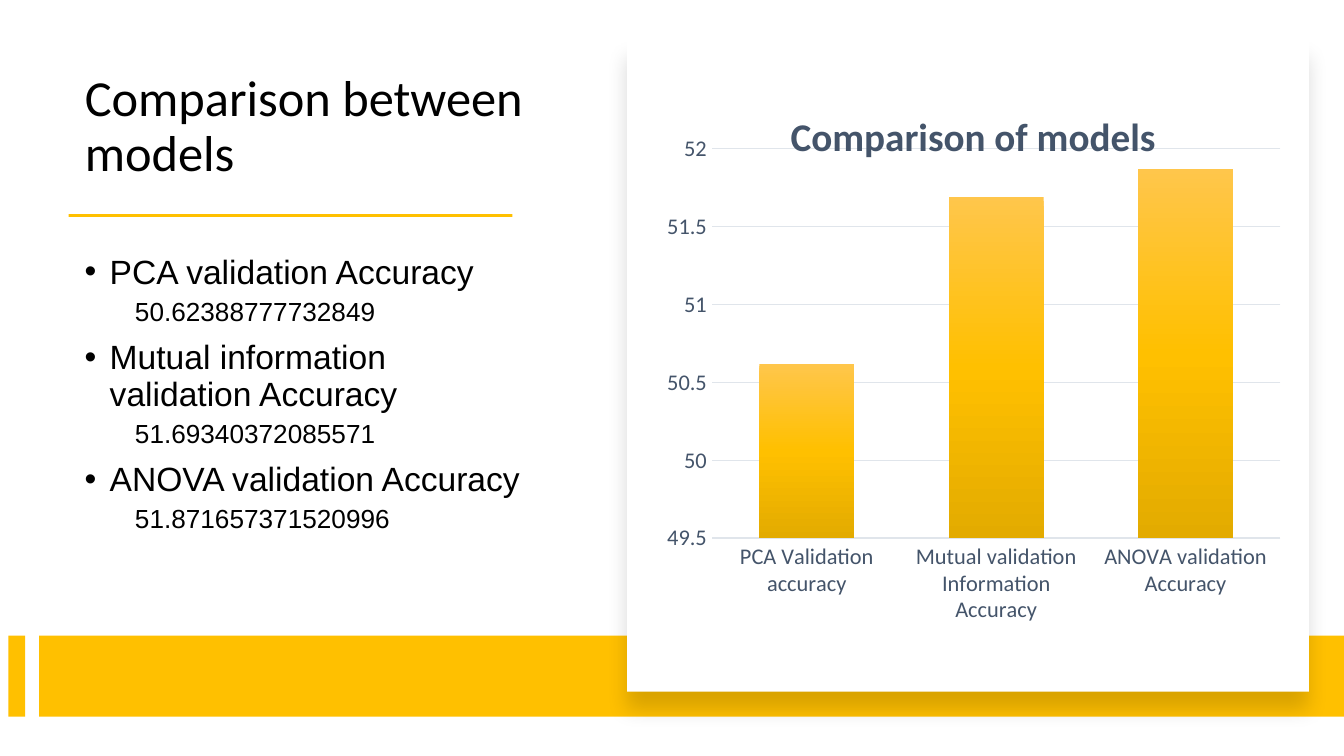
"""Build the model comparison slide with its accuracy list and column chart."""
from dataclasses import dataclass

from lxml.etree import SubElement
from pptx import Presentation
from pptx.chart.data import CategoryChartData
from pptx.dml.color import RGBColor
from pptx.enum.chart import XL_CHART_TYPE, XL_TICK_MARK
from pptx.enum.shapes import MSO_SHAPE
from pptx.enum.text import MSO_ANCHOR, MSO_AUTO_SIZE, PP_ALIGN
from pptx.oxml import parse_xml
from pptx.oxml.ns import nsdecls, qn
from pptx.util import Pt


@dataclass(frozen=True)
class Theme:
    black: str = "000000"
    white: str = "FFFFFF"
    gold: str = "FFC000"
    gold_light: str = "FFC64B"
    gold_dark: str = "E3AB00"
    slate: str = "44546A"
    grid: str = "E0E5EB"
    head_font: str = "Calibri"
    body_font: str = "Arial"
    title: int = 27
    item: int = 18
    value: int = 14
    chart_title: int = 21
    axis: int = 12


T = Theme()
PX = 9525


def write(p, text, size, font=T.body_font, color=T.black, bold=False,
          before=0, line=0.9, align=PP_ALIGN.LEFT):
    p.alignment, p.line_spacing, p.space_before = align, line, Pt(before)
    r = p.add_run()
    r.text = text
    r.font.size, r.font.name, r.font.bold = Pt(size), font, bold
    r.font.color.rgb = RGBColor.from_string(color)


def place(parent, index, **values):
    old = parent.find(qn("c:layout"))
    if old is not None:
        parent.remove(old)
    layout = parse_xml(f"<c:layout {nsdecls('c')}><c:manualLayout/></c:layout>")
    for tag, val in values.items():
        SubElement(layout[0], qn(f"c:{tag}")).set("val", str(val))
    parent.insert(index, layout)


prs = Presentation()
prs.slide_width, prs.slide_height = 960 * PX, 540 * PX
s = prs.slides.add_slide(prs.slide_layouts[5])

title = s.shapes.title
title.left, title.top, title.width, title.height = [v * PX for v in (51, 41, 337, 94)]
tf = title.text_frame
tf.word_wrap, tf.auto_size = True, MSO_AUTO_SIZE.NONE
tf.vertical_anchor = MSO_ANCHOR.BOTTOM
write(tf.paragraphs[0], "Comparison between models", T.title, font=T.head_font)

for x, y, w, h, color in (
    (49, 153, 317, 2, T.gold),
    (6, 454, 12, 58, T.gold),
    (28, 454, 932, 58, T.gold),
    (448, 28, 487, 466, T.white),
):
    sp = s.shapes.add_shape(MSO_SHAPE.RECTANGLE, x * PX, y * PX, w * PX, h * PX)
    sp.shadow.inherit = False
    sp.fill.solid()
    sp.fill.fore_color.rgb = RGBColor.from_string(color)
    sp.line.fill.background()
card = sp
card._element.spPr.find(qn("a:effectLst")).append(parse_xml(
    f'<a:outerShdw {nsdecls("a")} blurRad="{Pt(11)}" dist="{Pt(10)}" dir="5400000" '
    f'algn="t" rotWithShape="0"><a:srgbClr val="{T.black}"><a:alpha val="15000"/>'
    '</a:srgbClr></a:outerShdw>'))

body = s.shapes.add_textbox(51 * PX, 160 * PX, 337 * PX, 244 * PX)
tf = body.text_frame
tf.word_wrap, tf.vertical_anchor = True, MSO_ANCHOR.MIDDLE
p = tf.paragraphs[0]
for name, value in (
    ("PCA validation Accuracy", "50.62388777732849"),
    ("Mutual information validation Accuracy", "51.69340372085571"),
    ("ANOVA validation Accuracy", "51.871657371520996"),
):
    if p.runs:
        p = tf.add_paragraph()
    write(p, name, T.item, before=7.5)
    pPr = p._p.get_or_add_pPr()
    pPr.set("marL", str(18 * PX))
    pPr.set("indent", str(-18 * PX))
    SubElement(pPr, qn("a:buFont")).set("typeface", T.body_font)
    SubElement(pPr, qn("a:buChar")).set("char", "•")
    p = tf.add_paragraph()
    p.level = 1
    write(p, value, T.value, before=3.8)
    pPr = p._p.get_or_add_pPr()
    pPr.set("marL", str(36 * PX))
    pPr.set("indent", "0")
    SubElement(pPr, qn("a:buNone"))

data = CategoryChartData()
data.categories = ["PCA Validation accuracy", "Mutual validation Information Accuracy",
                   "ANOVA validation Accuracy"]
data.add_series("Series 1", (50.62, 51.69, 51.87))
chart = s.shapes.add_chart(XL_CHART_TYPE.COLUMN_CLUSTERED, 471 * PX, 51 * PX,
                           444 * PX, 432 * PX, data).chart
chart.has_legend = False
chart.font.size, chart.font.name = Pt(T.axis), T.head_font
chart.font.color.rgb = RGBColor.from_string(T.slate)
chart.has_title = True
write(chart.chart_title.text_frame.paragraphs[0], "Comparison of models", T.chart_title,
      font=T.head_font, color=T.slate, bold=True, line=1.0, align=PP_ALIGN.CENTER)
place(chart.chart_title._element, 1, xMode="edge", yMode="edge", x=0.2, y=0.05)
place(chart._chartSpace.chart.plotArea, 0, layoutTarget="inner", xMode="edge",
      yMode="edge", x=0.085, y=0.128, w=0.915, h=0.644)

cat, val = chart.category_axis, chart.value_axis
for axis in (cat, val):
    axis.major_tick_mark = axis.minor_tick_mark = XL_TICK_MARK.NONE
val.minimum_scale, val.maximum_scale, val.major_unit = 49.5, 52, 0.5
val.tick_labels.number_format = "General"
val.tick_labels.number_format_is_linked = False
val.format.line.fill.background()
for line in (cat.format.line, val.major_gridlines.format.line):
    line.width = Pt(0.75)
    line.color.rgb = RGBColor.from_string(T.grid)

plot = chart.plots[0]
plot.vary_by_categories, plot.gap_width, plot.overlap = False, 100, -24
series = plot.series[0]
series.invert_if_negative = False
stops = "".join(
    f'<a:gs pos="{pos}"><a:srgbClr val="{color}"/></a:gs>'
    for pos, color in ((0, T.gold_light), (50000, T.gold), (100000, T.gold_dark)))
series.format.line.fill.background()
series._element.spPr.insert(0, parse_xml(
    f'<a:gradFill {nsdecls("a")} rotWithShape="1"><a:gsLst>{stops}</a:gsLst>'
    '<a:lin ang="5400000" scaled="0"/></a:gradFill>'))

prs.save("out.pptx")
